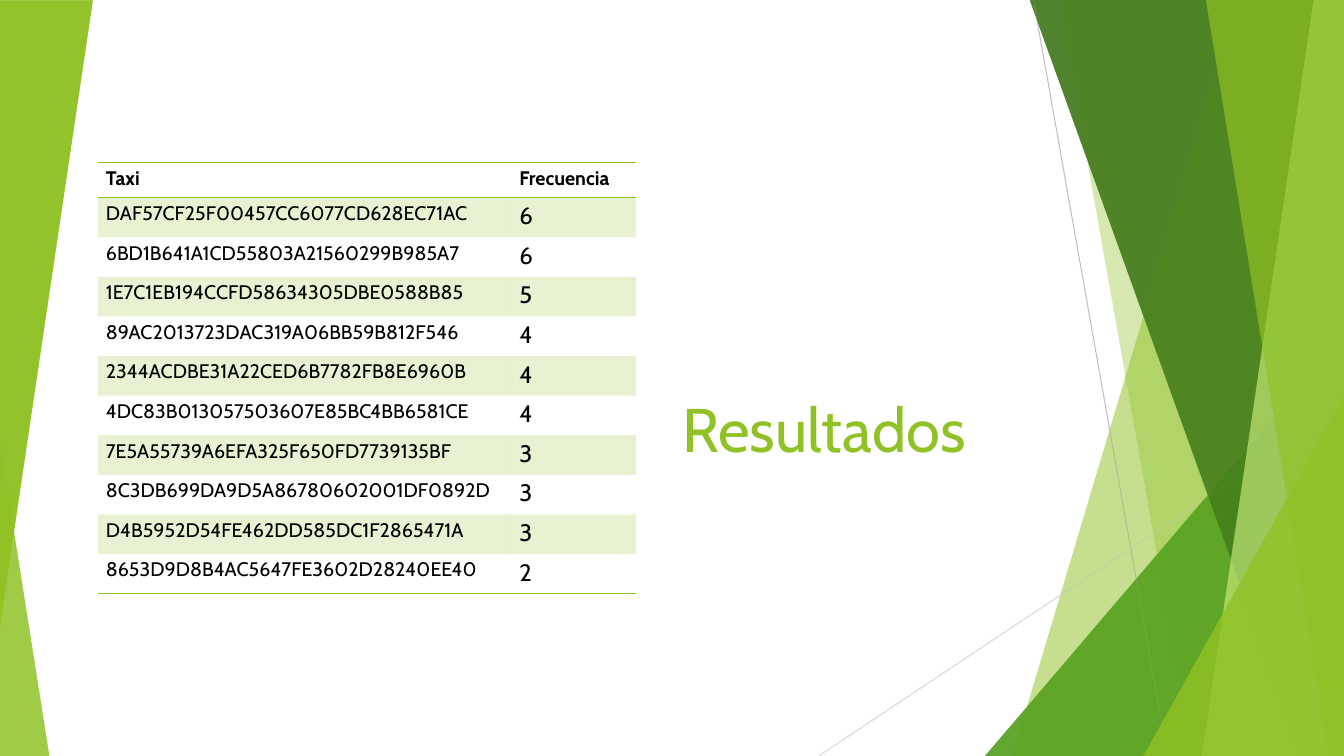
from dataclasses import dataclass

from lxml.etree import SubElement
from pptx import Presentation
from pptx.dml.color import RGBColor
from pptx.enum.shapes import MSO_CONNECTOR as Connector, MSO_SHAPE as Shape
from pptx.enum.text import MSO_ANCHOR as Anchor
from pptx.oxml.ns import qn
from pptx.util import Pt

EMU_PER_PX = 9144
WIDTH, HEIGHT = 1333, 750
NO_STYLE = "{2D5ABB26-0587-4C30-8999-92F81FD0307C}"


def px(length):
    return length * EMU_PER_PX


@dataclass(frozen=True)
class Theme:
    font: str = "Cabin"
    lime: str = "90C226"
    green: str = "54A021"
    forest: str = "3F7819"
    pale: str = "C0E474"
    ink: str = "000000"
    ray_dark: str = "BFBFBF"
    ray_light: str = "D9D9D9"
    title: int = 44
    label: int = 14
    number: int = 17


class SlideBuilder:
    def __init__(self, slide, theme):
        self.slide = slide
        self.theme = theme

    def paint(self, fill, color, opacity):
        fill.solid()
        fill.fore_color.rgb = RGBColor.from_string(color)
        return str(opacity * 1000)

    def finish(self, shape, color, opacity):
        shape.shadow.inherit = False
        shape.line.fill.background()
        alpha = self.paint(shape.fill, color, opacity)
        self.set_alpha(shape._element.spPr, alpha)

    def set_alpha(self, properties, alpha):
        color = properties.find(qn("a:solidFill")).find(qn("a:srgbClr"))
        SubElement(color, qn("a:alpha"), val=alpha)

    def facet(self, top_x, bottom_x, color, opacity):
        """Full-height panel with a slanted left edge, reaching the right side."""
        outline = self.slide.shapes.build_freeform(top_x, -1, scale=EMU_PER_PX)
        outline.add_line_segments([(WIDTH, -1), (WIDTH, HEIGHT), (bottom_x, HEIGHT)])
        self.finish(outline.convert_to_shape(), color, opacity)

    def triangle(self, left, top, width, height, apex, color, opacity, rotation=0):
        shape = self.slide.shapes.add_shape(
            Shape.ISOSCELES_TRIANGLE, px(left), px(top), px(width), px(height))
        shape.adjustments[0] = apex
        shape.rotation = rotation
        self.finish(shape, color, opacity)

    def ray(self, start, end, color):
        line = self.slide.shapes.add_connector(
            Connector.STRAIGHT, *map(px, start), *map(px, end))
        line.line.color.rgb = RGBColor.from_string(color)
        line.line.width = Pt(0.75)
        SubElement(line._element.spPr, qn("a:effectLst"))

    def add_run(self, paragraph, text, size, color, bold=False):
        run = paragraph.add_run()
        run.text = text
        run.font.name = self.theme.font
        run.font.size = Pt(size)
        run.font.bold = bold
        run.font.color.rgb = RGBColor.from_string(color)

    def title(self, text, left, top, width, height):
        frame = self.slide.shapes.add_textbox(
            px(left), px(top), px(width), px(height)).text_frame
        frame.word_wrap = True
        frame.vertical_anchor = Anchor.BOTTOM
        self.add_run(frame.paragraphs[0], text, self.theme.title, self.theme.lime)

    def border(self, cell, edge):
        line = SubElement(cell._tc.get_or_add_tcPr(), qn(f"a:{edge}"), w=str(Pt(1)))
        fill = SubElement(line, qn("a:solidFill"))
        SubElement(fill, qn("a:srgbClr"), val=self.theme.lime)

    def cell(self, cell, text, size, edges, bold, banded):
        cell.margin_left = cell.margin_right = px(8)
        cell.margin_top = cell.margin_bottom = px(4)
        for edge in edges:
            self.border(cell, edge)
        if banded:
            alpha = self.paint(cell.fill, self.theme.lime, 20)
            self.set_alpha(cell._tc.tcPr, alpha)
        else:
            cell.fill.background()
        paragraph = cell.text_frame.paragraphs[0]
        self.add_run(paragraph, text, size, self.theme.ink, bold)

    def table(self, header, records, left, top, widths, header_height, body_height):
        rows = [header, *records]
        table = self.slide.shapes.add_table(
            len(rows), len(widths), px(left), px(top),
            px(sum(widths)), px(header_height + body_height)).table
        table.first_row = table.horz_banding = False
        table._tbl.tblPr.find(qn("a:tableStyleId")).text = NO_STYLE
        for column, width in zip(table.columns, widths):
            column.width = px(width)
        for index, values in enumerate(rows):
            is_header = index == 0
            is_last = index == len(records)
            table.rows[index].height = (
                px(header_height) if is_header else px(body_height) // len(records))
            edges = ["lnT", "lnB"] if is_header else ["lnB"] if is_last else []
            for position, value in enumerate(values):
                is_number = position == 1 and not is_header
                size = self.theme.number if is_number else self.theme.label
                self.cell(table.cell(index, position), str(value), size, edges,
                          bold=is_header, banded=index % 2 == 1)


def draw_facets(builder):
    theme = builder.theme
    builder.facet(1228, 1004, theme.lime, 30)
    builder.facet(1050, 1183, theme.lime, 20)
    builder.triangle(977, 333, 356, 417, 1, theme.green, 72)
    builder.facet(1021, 1291, theme.forest, 70)
    builder.facet(1303, 1192, theme.pale, 70)
    builder.facet(1196, 1318, theme.lime, 65)
    builder.triangle(1134, 393, 199, 357, 1, theme.lime, 80)


TAXIS = [
    ("DAF57CF25F00457CC6077CD628EC71AC", 6),
    ("6BD1B641A1CD55803A21560299B985A7", 6),
    ("1E7C1EB194CCFD58634305DBE0588B85", 5),
    ("89AC2013723DAC319A06BB59B812F546", 4),
    ("2344ACDBE31A22CED6B7782FB8E6960B", 4),
    ("4DC83B013057503607E85BC4BB6581CE", 4),
    ("7E5A55739A6EFA325F650FD7739135BF", 3),
    ("8C3DB699DA9D5A86780602001DF0892D", 3),
    ("D4B5952D54FE462DD585DC1F2865471A", 3),
    ("8653D9D8B4AC5647FE3602D28240EE40", 2),
]


def main():
    presentation = Presentation()
    presentation.slide_width, presentation.slide_height = px(WIDTH), px(HEIGHT)
    slide = presentation.slides.add_slide(presentation.slide_layouts[6])
    theme = Theme()
    builder = SlideBuilder(slide, theme)

    # Lower layer: facets and the bottom-left wedge
    draw_facets(builder)
    builder.triangle(0, 439, 49, 311, 0, theme.lime, 85)

    # Upper layer: rays, facets again for depth, and the top-left wedges
    builder.ray((1025, 0), (1158, HEIGHT), theme.ray_dark)
    builder.ray((WIDTH, 403), (812, HEIGHT), theme.ray_light)
    draw_facets(builder)
    for top in (0, 1):
        builder.triangle(0, top, 92, 620, 1, theme.lime, 85, rotation=180)

    # Title and results table
    builder.title("Resultados", 667, 138, 382, 328)
    builder.table(("Taxi", "Frecuencia"), TAXIS, 97, 161, (410, 124), 35, 393)

    presentation.save("out.pptx")


if __name__ == "__main__":
    main()
